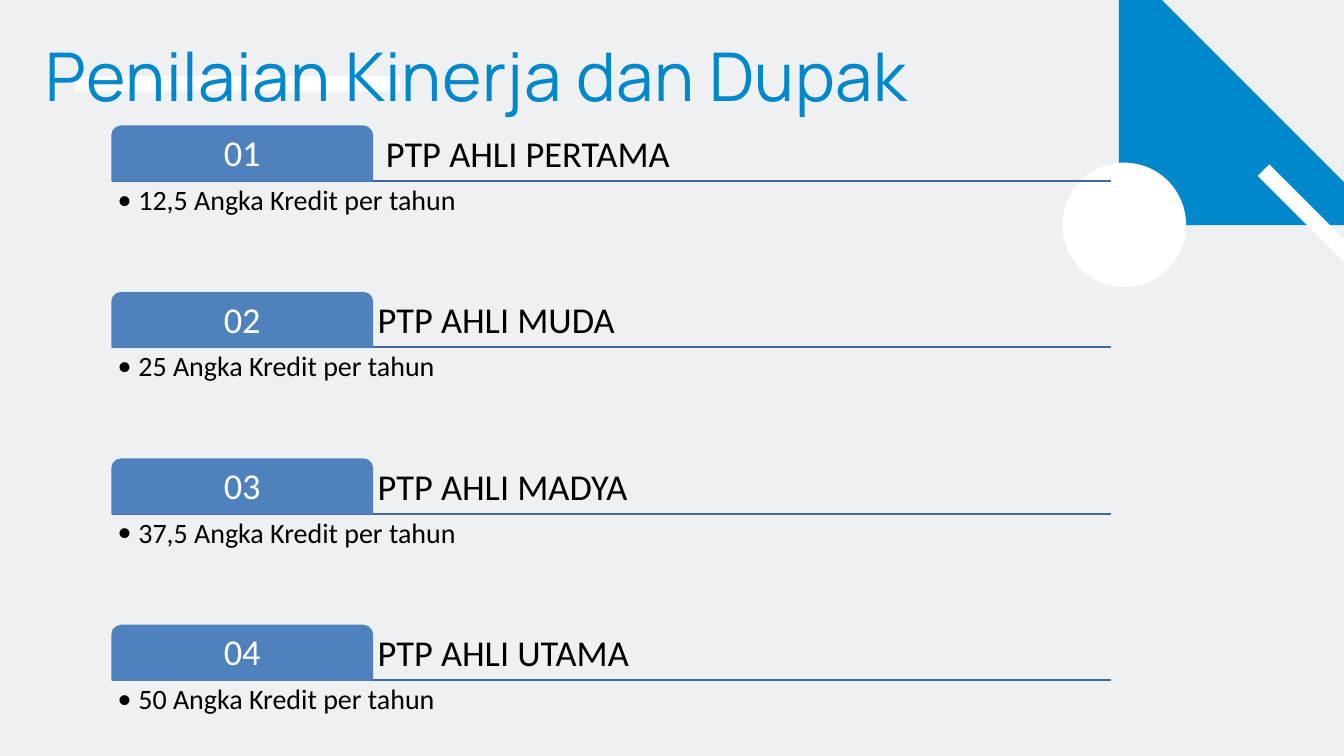
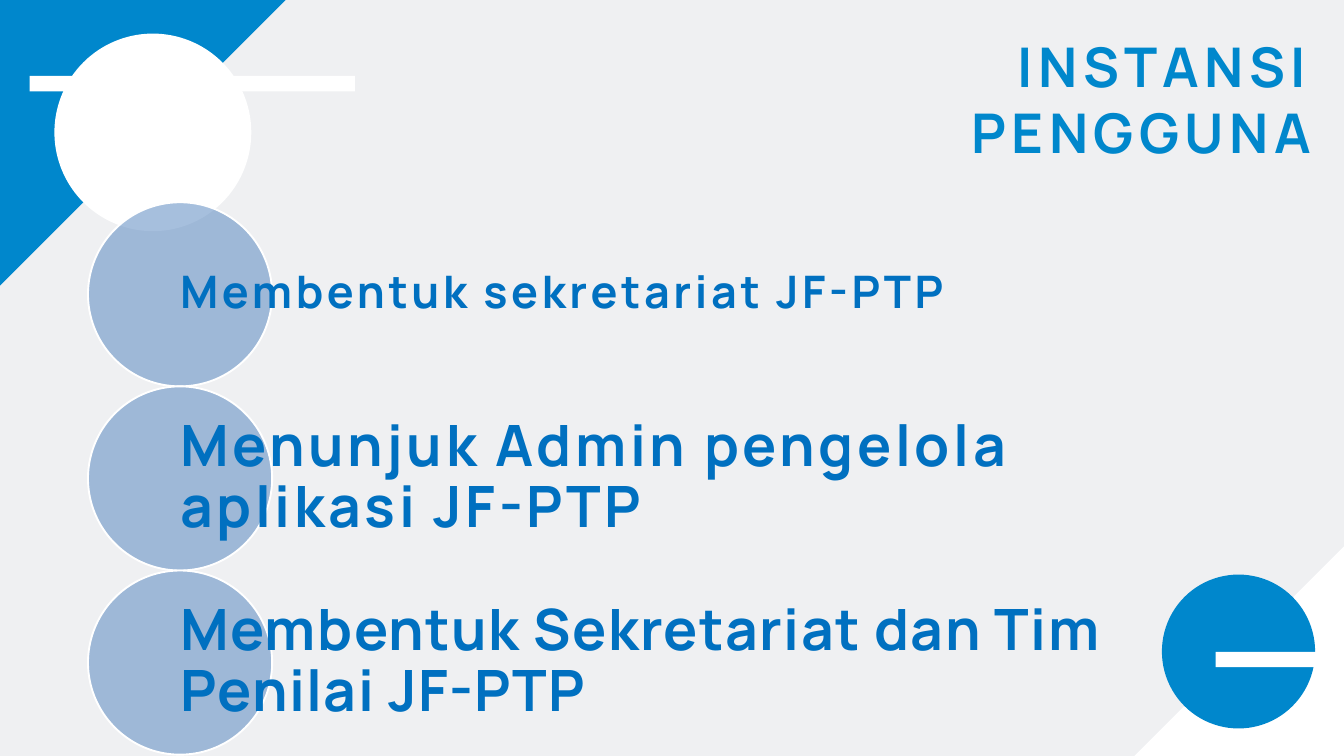
from dataclasses import dataclass

from lxml import etree
from pptx import Presentation
from pptx import util as u
from pptx.dml.color import RGBColor
from pptx.enum import shapes, text
from pptx.oxml.ns import qn


@dataclass(frozen=True)
class Theme:
    background: str = "EFF0F2"
    accent: str = "0087CC"
    white: str = "FFFFFF"
    black: str = "000000"
    tab: str = "4F81BD"
    rule: str = "3F6797"
    duty: str = "0070C0"
    heading_font: str = "Manrope"
    body_font: str = "Calibri"
    title_size: float = 72
    heading_size: float = 58.66
    level_size: float = 39
    credit_size: float = 30
    line_width: float = 2


@dataclass(frozen=True)
class Box:
    left: float
    top: float
    width: float
    height: float

    def lengths(self):
        return [u.Inches(v) for v in (self.left, self.top, self.width, self.height)]


THEME = Theme()
SLIDE = Box(0, 0, 20, 11.25)
SHAPE = shapes.MSO_SHAPE
ANCHOR = text.MSO_ANCHOR
ALIGN = text.PP_ALIGN

LEVELS = [
    ("01", " PTP AHLI PERTAMA", "12,5 Angka Kredit per tahun"),
    ("02", "PTP AHLI MUDA", "25 Angka Kredit per tahun"),
    ("03", "PTP AHLI MADYA", "37,5 Angka Kredit per tahun"),
    ("04", "PTP AHLI UTAMA", "50 Angka Kredit per tahun"),
]
# Wording, type size, letter spacing
DUTIES = [
    ("Membentuk sekretariat JF-PTP", 48, 3.9),
    ("Menunjuk Admin pengelola aplikasi JF-PTP", 61, 3.9),
    ("Membentuk Sekretariat dan Tim Penilai JF-PTP", 61, 1.6),
]


def rgb(color):
    return RGBColor.from_string(color)


def paint(shape, fill, line=None, alpha=None):
    """Give a shape a flat fill; alpha is its opacity in percent."""
    shape.shadow.inherit = False
    shape.fill.solid()
    shape.fill.fore_color.rgb = rgb(fill)
    if alpha is not None:
        color = shape.fill._xPr.find(qn("a:solidFill"))[0]
        etree.SubElement(color, qn("a:alpha")).set("val", str(alpha * 1000))
    if line:
        shape.line.color.rgb = rgb(line)
        shape.line.width = u.Pt(THEME.line_width)
    else:
        shape.line.fill.background()


def add_shape(page, kind, box, fill, line=None, alpha=None):
    shape = page.shapes.add_shape(kind, *box.lengths())
    paint(shape, fill, line, alpha)
    return shape


def add_triangle(page, corners, fill):
    points = [(u.Inches(x), u.Inches(y)) for x, y in corners]
    builder = page.shapes.build_freeform(*points[0])
    builder.add_line_segments(points[1:], close=True)
    paint(builder.convert_to_shape(), fill)


def add_rule(page, left, right, height):
    rule = page.shapes.add_connector(
        shapes.MSO_CONNECTOR.STRAIGHT,
        u.Inches(left), u.Inches(height), u.Inches(right), u.Inches(height))
    rule.line.color.rgb = rgb(THEME.rule)
    rule.line.width = u.Pt(THEME.line_width)
    etree.SubElement(rule._element.spPr, qn("a:effectLst"))


def write(shape, wording, size, color, font, bold=None, letter_gap=0, align=ALIGN.LEFT,
          anchor=ANCHOR.TOP, spacing=0.9, insets=(0, 0, 0, 0)):
    """Fill a shape with one paragraph; insets are left, top, right, bottom."""
    frame = shape.text_frame
    frame.word_wrap = True
    frame.vertical_anchor = anchor
    (frame.margin_left, frame.margin_top,
     frame.margin_right, frame.margin_bottom) = [u.Inches(v) for v in insets]
    frame.text = wording
    para = frame.paragraphs[0]
    para.alignment = align
    para.line_spacing = spacing
    span = para.runs[0]
    span.font.size = u.Pt(size)
    span.font.name = font
    span.font.bold = bold
    span.font.color.rgb = rgb(color)
    if letter_gap:
        span.font._element.set("spc", str(round(letter_gap * 100)))
    return para


def add_text(page, box, *args, **style):
    return write(page.shapes.add_textbox(*box.lengths()), *args, **style)


def add_bullet(para, indent):
    para.level = 1
    props = para._p.get_or_add_pPr()
    props.set("marL", str(u.Inches(indent)))
    props.set("indent", str(-u.Inches(indent)))
    etree.SubElement(props, qn("a:buFont")).set("typeface", THEME.body_font)
    etree.SubElement(props, qn("a:buChar")).set("char", "•")


def add_bar(page, left, top):
    add_shape(page, SHAPE.RECTANGLE, Box(left, top, 4.84, 0.23), THEME.white)


def add_title(page, box, wording, size, spacing, **style):
    add_text(page, box, wording, size, THEME.accent, THEME.heading_font,
             spacing=u.Pt(spacing), **style)


def corner_art(page, box):
    """Blue triangle, white disc and slanted bar in the top right corner."""
    bottom = box.top + box.height
    add_triangle(page, [(box.left + box.width, bottom), (box.left, bottom),
                        (box.left, box.top)], THEME.accent)
    add_shape(page, SHAPE.OVAL, Box(box.left - 0.84, bottom - 0.93, 1.84, 1.85), THEME.white)
    slant = add_shape(page, SHAPE.RECTANGLE,
                      Box(box.left + 1.81, bottom - 0.11, 2.34, 0.24), THEME.white)
    slant.rotation = 45


def level_list(page, box):
    """Numbered tabs, each with a heading, a rule and a bulleted credit."""
    tab_width, tab_height, pitch = 3.87, 0.81, 7.43 / 3
    right = box.left + box.width
    tops = [box.top + pitch * row for row in range(len(LEVELS))]
    for top in tops:
        add_rule(page, box.left, right, top + tab_height)
    pad = (0.08,) * 4
    for top, (number, level, credit) in zip(tops, LEVELS):
        add_text(page, Box(box.left + tab_width, top, box.width - tab_width, tab_height),
                 level, THEME.level_size, THEME.black, THEME.body_font,
                 anchor=ANCHOR.BOTTOM, insets=pad)
        tab = add_shape(page, SHAPE.ROUND_2_SAME_RECTANGLE,
                        Box(box.left, top, tab_width, tab_height), THEME.tab, THEME.tab)
        tab.adjustments[0] = 0.167
        write(tab, number, THEME.level_size, THEME.white, THEME.body_font,
              align=ALIGN.CENTER, anchor=ANCHOR.MIDDLE, insets=pad)
        para = add_text(page, Box(box.left, top + tab_height, box.width, 2 * tab_height),
                        credit, THEME.credit_size, THEME.black, THEME.body_font, insets=pad)
        add_bullet(para, 0.31)


def top_left_art(page, box):
    add_triangle(page, [(box.left, box.top + box.height), (box.left, box.top),
                        (box.left + box.width, box.top)], THEME.accent)
    add_shape(page, SHAPE.OVAL, Box(box.left + 0.81, box.top + 0.81, 2.93, 2.94), THEME.white)


def bottom_right_art(page, box):
    right, bottom = box.left + box.width, box.top + box.height
    add_triangle(page, [(right, box.top), (right, bottom), (box.left, bottom)], THEME.white)
    add_shape(page, SHAPE.OVAL, Box(box.left + 0.43, box.top + 0.42, 2.28, 2.29), THEME.accent)


def duty_list(page, box):
    """Stacked see-through discs, with each duty starting at a disc's centre."""
    disc = box.height / len(DUTIES)
    for row, (duty, size, letter_gap) in enumerate(DUTIES):
        top = box.top + disc * row
        add_shape(page, SHAPE.OVAL, Box(box.left, top, disc, disc),
                  THEME.tab, THEME.white, alpha=50)
        add_text(page, Box(box.left + disc / 2, top, box.width - disc / 2, disc),
                 duty, size, THEME.duty, THEME.heading_font, bold=True,
                 letter_gap=letter_gap, anchor=ANCHOR.MIDDLE, insets=(0, 0.08, 0, 0.08))


def add_page(deck):
    page = deck.slides.add_slide(deck.slide_layouts[6])
    page.background.fill.solid()
    page.background.fill.fore_color.rgb = rgb(THEME.background)
    return page


def performance_slide(deck):
    page = add_page(deck)
    corner_art(page, Box(16.65, -0.64, 3.99, 3.99))
    add_bar(page, 1.12, 1.13)
    add_title(page, Box(0.68, 0.61, 15.97, 1.11), "Penilaian Kinerja dan Dupak",
              THEME.title_size, 79.2, letter_gap=0.7)
    level_list(page, Box(1.67, 1.88, 14.87, 9.85))


def agency_slide(deck):
    page = add_page(deck)
    top_left_art(page, Box(0, -0.31, 4.56, 4.56))
    bottom_right_art(page, Box(16.86, 8.13, 3.14, 3.14))
    add_title(page, Box(10.72, 0.49, 8.8, 1.96), "INSTANSI PENGGUNA",
              THEME.heading_size, 70.4, bold=True, letter_gap=5.87, align=ALIGN.RIGHT)
    add_bar(page, 0.44, 1.13)
    add_bar(page, 18.09, 9.7)
    duty_list(page, Box(1.31, 3.01, 15.98, 8.22))


def main():
    deck = Presentation()
    deck.slide_width = u.Inches(SLIDE.width)
    deck.slide_height = u.Inches(SLIDE.height)
    performance_slide(deck)
    agency_slide(deck)
    deck.save("out.pptx")


if __name__ == "__main__":
    main()
